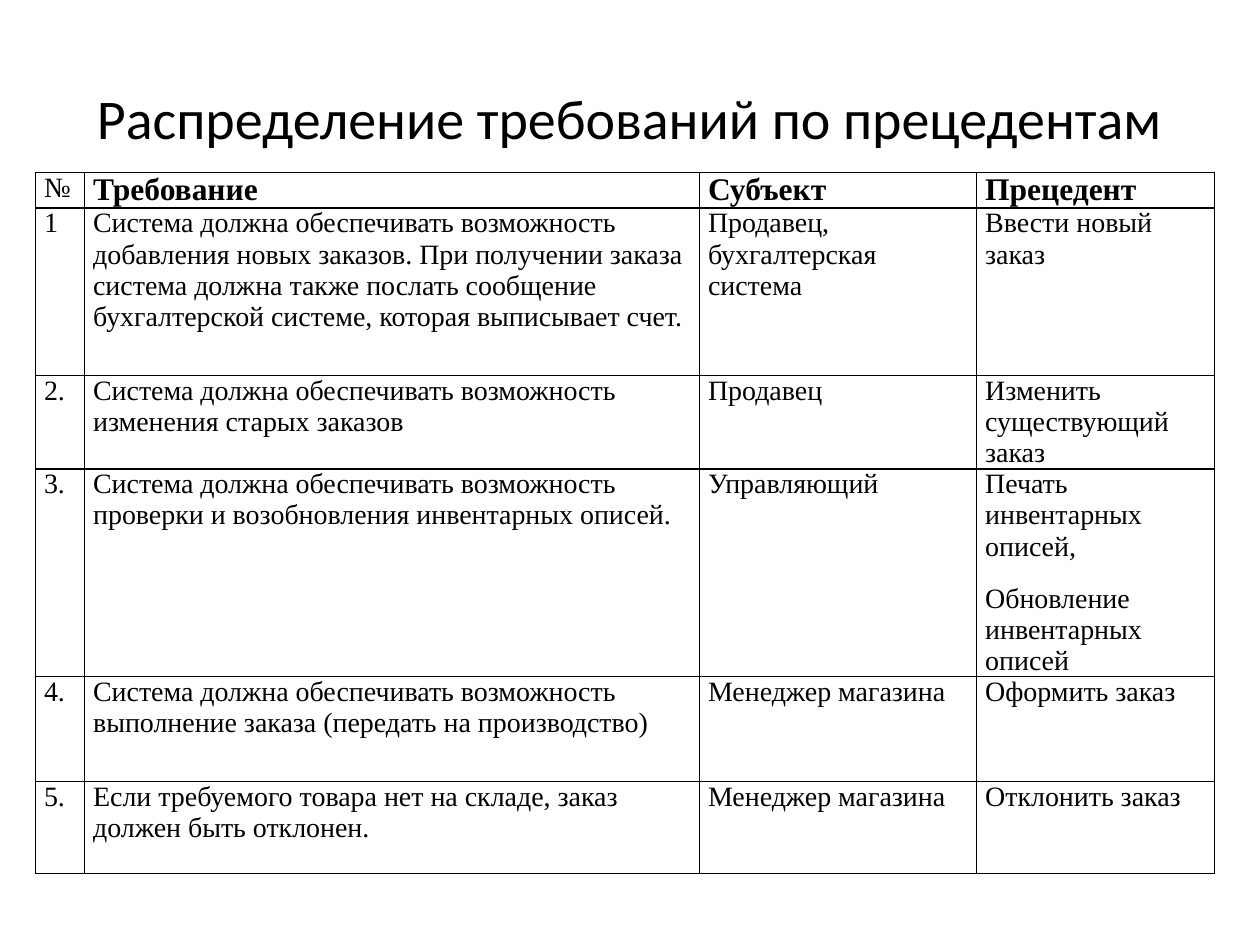
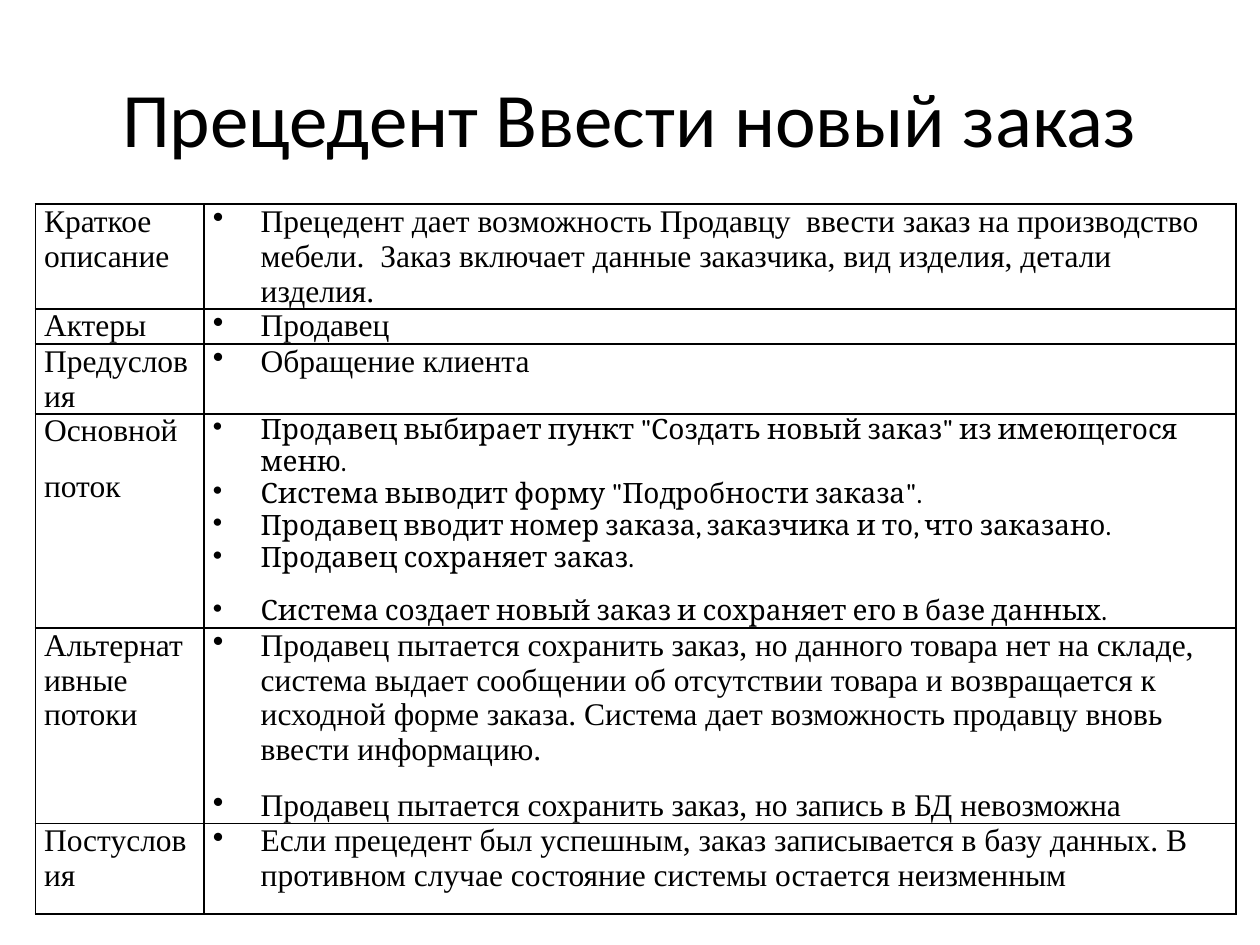
from lxml import etree
from pptx import Presentation
from pptx import util as u
from pptx.dml.color import RGBColor
from pptx.enum import text
from pptx.oxml.ns import qn

WIDTH, HEIGHT = u.Inches(10), u.Inches(7.5)
COLORS = {"ink": "000000", "border": "000000"}
TITLE_FONT, TABLE_FONT, FLOW_FONT = "Calibri", "Times New Roman", "Cambria"
TITLE_BOX = (0.05, 0.04, 0.9, 0.167)  # shares of the slide's size
TABLE_LEFT = 0.028
CELL_MARGIN = u.Inches(0.07)
BULLET_INDENT = u.Inches(0.38)
PARAGRAPH_GAP = u.Pt(12)

REQUIREMENTS = [
    ("№", "Требование", "Субъект", "Прецедент"),
    ("1",
     "Система должна обеспечивать возможность добавления новых заказов. "
     "При получении заказа система должна также послать сообщение "
     "бухгалтерской системе, которая выписывает счет.",
     "Продавец, бухгалтерская система", "Ввести новый заказ"),
    ("2.", "Система должна обеспечивать возможность изменения старых заказов",
     "Продавец", "Изменить существующий заказ"),
    ("3.",
     "Система должна обеспечивать возможность проверки и возобновления "
     "инвентарных описей.",
     "Управляющий",
     "Печать инвентарных описей,\nОбновление инвентарных описей"),
    ("4.",
     "Система должна обеспечивать возможность выполнение заказа "
     "(передать на производство)",
     "Менеджер магазина", "Оформить заказ"),
    ("5.", "Если требуемого товара нет на складе, заказ должен быть отклонен.",
     "Менеджер магазина", "Отклонить заказ"),
]
MAIN_FLOW = "Основной\nпоток"
USE_CASE = [
    ("Краткое описание",
     "Прецедент дает возможность Продавцу  ввести заказ на производство "
     "мебели.  Заказ включает данные заказчика, вид изделия, детали изделия."),
    ("Актеры", "Продавец"),
    ("Предусловия", "Обращение клиента"),
    (MAIN_FLOW,
     'Продавец выбирает пункт "Создать новый заказ" из имеющегося меню.\n'
     'Система выводит форму "Подробности заказа".\n'
     "Продавец вводит номер заказа, заказчика и то, что заказано.\n"
     "Продавец сохраняет заказ.\n"
     "Система создает новый заказ и сохраняет его в базе данных."),
    ("Альтернативные потоки",
     "Продавец пытается сохранить заказ, но данного товара нет на складе, "
     "система выдает сообщении об отсутствии товара и возвращается к исходной "
     "форме заказа. Система дает возможность продавцу вновь ввести информацию.\n"
     "Продавец пытается сохранить заказ, но запись в БД невозможна"),
    ("Постусловия",
     "Если прецедент был успешным, заказ записывается в базу данных. "
     "В противном случае состояние системы остается неизменным"),
]


def style_font(font, name, size, bold=False):
    font.name, font.size, font.bold = name, u.Pt(size), bold
    font.color.rgb = RGBColor.from_string(COLORS["ink"])


def add_titled_slide(deck, title_text, size):
    slide = deck.slides.add_slide(deck.slide_layouts[5])
    title = slide.shapes.title
    left, top, width, height = TITLE_BOX
    title.left, title.width = int(left * WIDTH), int(width * WIDTH)
    title.top, title.height = int(top * HEIGHT), int(height * HEIGHT)
    title.text_frame.text = title_text
    title.text_frame.vertical_anchor = text.MSO_ANCHOR.MIDDLE
    heading = title.text_frame.paragraphs[0]
    heading.alignment = text.PP_ALIGN.CENTER
    style_font(heading.runs[0].font, TITLE_FONT, size)
    return slide


def outline_cell(cell):
    properties = cell._tc.get_or_add_tcPr()
    for place, side in enumerate(("lnL", "lnR", "lnT", "lnB")):
        line = etree.Element(qn(f"a:{side}"), w=str(u.Pt(1)))
        fill = etree.SubElement(line, qn("a:solidFill"))
        etree.SubElement(fill, qn("a:srgbClr"), val=COLORS["border"])
        properties.insert(place, line)


def add_bullet(paragraph):
    properties = paragraph._p.get_or_add_pPr()
    properties.set("marL", str(BULLET_INDENT))
    properties.set("indent", str(-BULLET_INDENT))
    etree.SubElement(properties, qn("a:buChar"), char="•")


def fill_cell(cell, content, font, size, bold, bulleted):
    """Write the cell; only the last of several paragraphs is set apart."""
    cell.fill.background()
    outline_cell(cell)
    cell.margin_left = cell.margin_right = CELL_MARGIN
    cell.margin_top = cell.margin_bottom = 0
    cell.text_frame.text = content
    paragraphs = cell.text_frame.paragraphs
    for paragraph in paragraphs:
        if bulleted:
            add_bullet(paragraph)
        style_font(paragraph.runs[0].font, font, size, bold)
    if len(paragraphs) > 1:
        paragraphs[-1].space_before = PARAGRAPH_GAP


def add_grid(slide, top, columns, rows, entries, cell_style):
    """Place a table; top, columns and rows are shares of the slide's size."""
    table = slide.shapes.add_table(
        len(rows), len(columns), int(TABLE_LEFT * WIDTH), int(top * HEIGHT),
        int(sum(columns) * WIDTH), int(sum(rows) * HEIGHT)).table
    table.first_row = table.horz_banding = False
    for column, share in zip(table.columns, columns):
        column.width = int(share * WIDTH)
    for row, share in zip(table.rows, rows):
        row.height = int(share * HEIGHT)
    for r, entry in enumerate(entries):
        for c, content in enumerate(entry):
            fill_cell(table.cell(r, c), content, *cell_style(r, c))


def requirement_style(row, column):
    heading = row == 0 and column > 0
    return TABLE_FONT, 18 if heading else 16, heading, False


def use_case_style(row, column):
    if column == 1 and USE_CASE[row][0] == MAIN_FLOW:
        return FLOW_FONT, 16, False, True
    return TABLE_FONT, 18, False, column == 1


def build_requirements(deck):
    slide = add_titled_slide(deck, "Распределение требований по прецедентам", 32)
    add_grid(slide, 1.37 / 7.5, (0.039, 0.488, 0.22, 0.189),
             [inches / 7.5 for inches in (0.28, 1.33, 0.74, 1.65, 0.83, 0.73)],
             REQUIREMENTS, requirement_style)


def build_use_case(deck):
    slide = add_titled_slide(deck, "Прецедент Ввести новый заказ", 44)
    add_grid(slide, 1.62 / 7.5, (0.134, 0.819),
             [inches / 7.5 for inches in (0.83, 0.28, 0.55, 1.7, 1.55, 0.72)],
             USE_CASE, use_case_style)


def main():
    deck = Presentation()
    deck.slide_width, deck.slide_height = WIDTH, HEIGHT
    build_requirements(deck)
    build_use_case(deck)
    deck.save("out.pptx")


if __name__ == "__main__":
    main()
